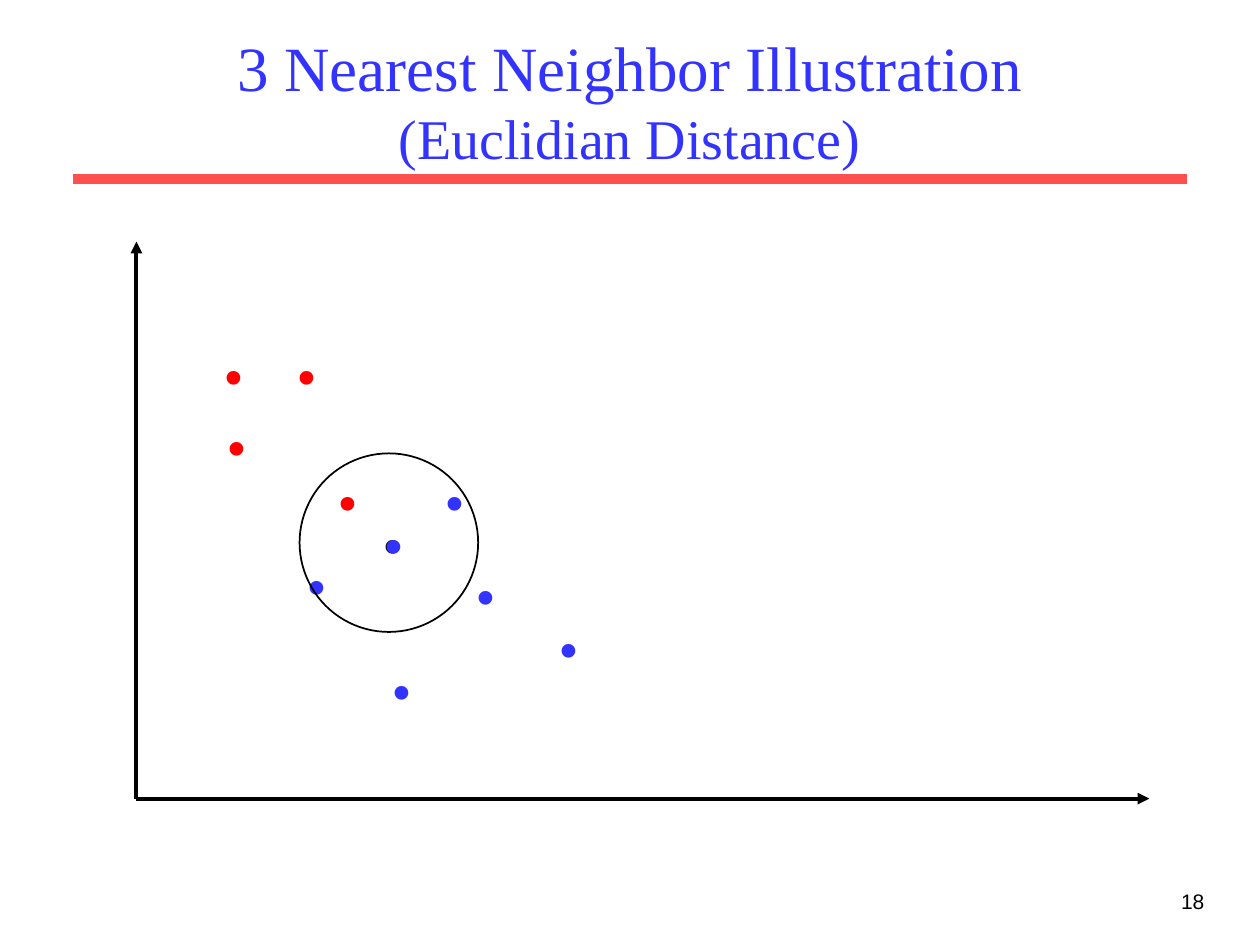
from lxml.etree import SubElement
from pptx import Presentation
from pptx.dml.color import RGBColor
from pptx.enum.shapes import MSO_CONNECTOR as CONN, MSO_SHAPE as SHAPE
from pptx.enum.text import MSO_ANCHOR as ANCHOR, MSO_AUTO_SIZE as FIT, PP_ALIGN as ALIGN
from pptx.oxml.ns import qn
from pptx.util import Cm, Pt

COLORS = {"title": "3333FF", "rule": "FF5050", "ink": "000000",
          "red": "FF0000", "blue": "3333FF"}
SERIF, SANS = "Times New Roman", "Arial"
DOT_W, DOT_H = 1.09, 3.05
RED_DOTS = [(1.49, 1.85), (1.42, 0.41), (3.73, 2.95), (2.89, 0.41)]
BLUE_DOTS = [(3.1, 4.65), (6.51, 4.85), (4.8, 6.76), (8.18, 5.92), (5.87, 2.95)]
QUERY = (4.62, 3.81)


def rgb(name):
    """Return the named colour."""
    return RGBColor.from_string(COLORS[name])


def style(r, size, color, font=SERIF):
    """Format one run."""
    r.font.size, r.font.name = Pt(size), font
    r.font.color.rgb = rgb(color)


def add_line(shapes, x1, y1, x2, y2, color, width, arrow=False):
    """Draw a straight line, with an arrowhead at its end if asked."""
    s = shapes.add_connector(CONN.STRAIGHT, Cm(x1), Cm(y1), Cm(x2), Cm(y2))
    s.line.color.rgb, s.line.width = rgb(color), Pt(width)
    if arrow:
        SubElement(s.line._get_or_add_ln(), qn("a:tailEnd"), type="triangle")
    SubElement(s._element.spPr, qn("a:effectLst"))


def add_label(shapes, text, x, y, w, h, size, color, font, align):
    """Place a one-line text box."""
    s = shapes.add_textbox(Cm(x), Cm(y), Cm(w), Cm(h))
    p = s.text_frame.paragraphs[0]
    p.text, p.alignment = text, align
    style(p.runs[0], size, color, font)
    return s


def add_dot(shapes, x, y, color):
    """Place a data point written as a large full stop."""
    s = add_label(shapes, ".", x, y, DOT_W, DOT_H, 66, color, SERIF, ALIGN.CENTER)
    s.text_frame.word_wrap = False
    s.text_frame.auto_size = FIT.SHAPE_TO_FIT_TEXT


def add_header(slide, x, y, w, h):
    """Fill the title placeholder and rule it off below."""
    add_line(slide.shapes, x - 0.43, y + 2.97, x + w + 0.43, y + 2.97, "rule", 6)
    s = slide.shapes.title
    s.left, s.top, s.width, s.height = Cm(x), Cm(y), Cm(w), Cm(h)
    tf = s.text_frame
    tf.text = "3 Nearest Neighbor Illustration\v(Euclidian Distance)"
    tf.vertical_anchor, tf.auto_size = ANCHOR.MIDDLE, FIT.NONE
    p = tf.paragraphs[0]
    p.alignment = ALIGN.CENTER
    for r, size in zip(p.runs, (36, 32)):
        style(r, size, "title")


def add_plot(slide, x, y, w, h):
    """Draw axes, classed points and the neighbourhood of the query point."""
    shapes = slide.shapes
    axes = shapes.add_group_shape().shapes
    add_line(axes, x, y + h, x, y, "ink", 2.25, arrow=True)
    add_line(axes, x, y + h, x + w, y + h, "ink", 2.25, arrow=True)
    for color, dots in (("red", RED_DOTS), ("blue", BLUE_DOTS)):
        for dx, dy in dots:
            add_dot(shapes, x + dx, y + dy, color)
    qx, qy = x + QUERY[0], y + QUERY[1]
    add_dot(shapes, qx, qy, "ink")
    s = shapes.add_shape(SHAPE.OVAL, Cm(x + 3.29), Cm(y + 4.27), Cm(3.6), Cm(3.6))
    s.shadow.inherit = False
    s.fill.background()
    s.line.color.rgb, s.line.width = rgb("ink"), Pt(1)
    add_dot(shapes, qx + 0.03, qy, "blue")


def main():
    """Build the slide and save it."""
    prs = Presentation()
    prs.slide_width, prs.slide_height = Cm(25.4), Cm(19.05)
    slide = prs.slides.add_slide(prs.slide_layouts[5])
    add_header(slide, 1.9, 0.64, 21.6, 2.74)
    add_label(slide.shapes, "18", 19.25, 17.78, 5.28, 1.27, 12, "ink", SANS, ALIGN.RIGHT)
    add_plot(slide, 2.75, 4.87, 20.42, 11.23)
    prs.save("out.pptx")


main()
